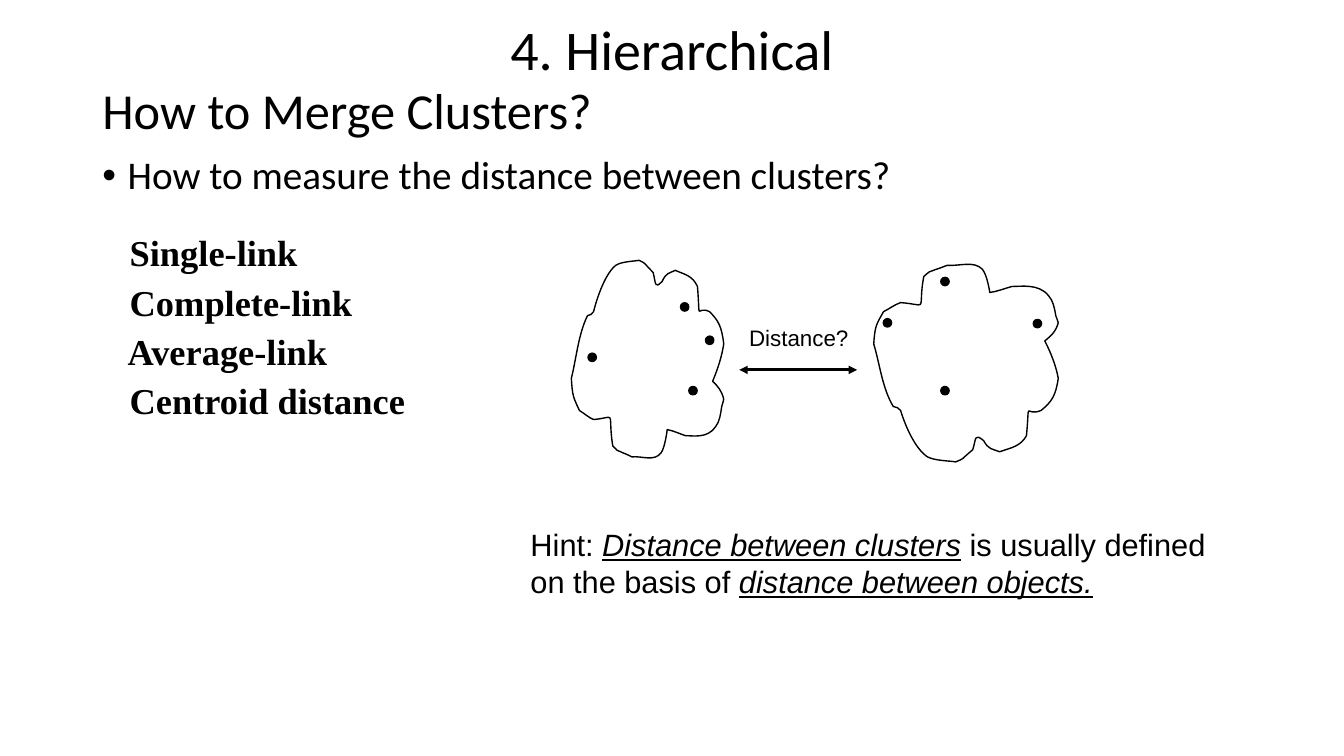
from lxml import etree
from pptx import Presentation
from pptx import util as u
from pptx.dml.color import RGBColor
from pptx.enum import shapes, text
from pptx.oxml.ns import qn

BLACK = "000000"

# Cluster outline on a 151 x 200 grid: a start point, then cubic curves
# given as two control points and an end point
GRID = (151, 200)
OUTLINE_START = (16, 55)
OUTLINE_CURVES = [
    (7, 73, 5, 97, 0, 117), (1, 135, 2, 136, 8, 149),
    (13, 152, 17, 156, 22, 158), (44, 156, 37, 149, 40, 177),
    (40, 179, 41, 182, 41, 184), (48, 191, 43, 187, 51, 191),
    (54, 192, 60, 195, 60, 195), (70, 194, 82, 200, 89, 191),
    (93, 185, 95, 168, 95, 168), (101, 169, 107, 172, 113, 174),
    (121, 174, 135, 177, 143, 165), (147, 160, 148, 152, 149, 145),
    (150, 142, 151, 138, 151, 138), (149, 129, 145, 125, 140, 120),
    (145, 108, 149, 96, 151, 83), (149, 66, 146, 60, 137, 51),
    (123, 44, 128, 65, 125, 26), (120, 15, 112, 14, 103, 10),
    (97, 13, 94, 12, 90, 21), (82, 29, 84, 23, 81, 12),
    (70, 1, 75, 4, 67, 0), (63, 1, 50, 1, 44, 5),
    (34, 13, 26, 35, 22, 51), (21, 54, 18, 54, 16, 55),
]


def color(hex_string):
    return RGBColor.from_string(hex_string)


def set_attributes(target, values):
    for name, value in values.items():
        setattr(target, name, value)


def add_text(slide, box, paragraphs, font, layout=None, anchor=text.MSO_ANCHOR.TOP, bullet=None):
    """Each paragraph is a list of (words, extra font values)."""
    frame = slide.shapes.add_textbox(*map(u.Cm, box)).text_frame
    set_attributes(frame, {"word_wrap": True, "vertical_anchor": anchor})
    for index, runs in enumerate(paragraphs):
        paragraph = frame.paragraphs[0] if index == 0 else frame.add_paragraph()
        set_attributes(paragraph, layout or {})
        if index == 0:
            paragraph.space_before = u.Pt(0)
        if bullet:
            add_bullet(paragraph, *bullet)
        for words, extra in runs:
            run = paragraph.add_run()
            run.text = words
            set_attributes(run.font, {**font, **extra})
            run.font.color.rgb = color(BLACK)


def add_bullet(paragraph, character, indent):
    properties = paragraph._p.get_or_add_pPr()
    properties.set("marL", str(u.Cm(indent)))
    properties.set("indent", str(-u.Cm(indent)))
    etree.SubElement(properties, qn("a:buFont")).set("typeface", "Arial")
    etree.SubElement(properties, qn("a:buChar")).set("char", character)


def curve_segments(shape):
    """Join every three straight segments into one cubic curve."""
    segments = list(shape._element.iter(qn("a:lnTo")))
    for start in range(0, len(segments), 3):
        curve = etree.Element(qn("a:cubicBezTo"))
        segments[start].addprevious(curve)
        for segment in segments[start:start + 3]:
            curve.append(segment[0])
            segment.getparent().remove(segment)


def add_cluster(slide, box, dots, mirrored=False):
    left, top, width, height = box

    # Outline
    points = [OUTLINE_START]
    for curve in OUTLINE_CURVES:
        points += [curve[0:2], curve[2:4], curve[4:6]]
    places = []
    for x, y in points:
        y = GRID[1] - y if mirrored else y
        places.append((u.Cm(left + width * x / GRID[0]), u.Cm(top + height * y / GRID[1])))
    builder = slide.shapes.build_freeform(*places[0])
    builder.add_line_segments(places[1:], close=True)
    outline = builder.convert_to_shape()
    curve_segments(outline)
    outline.fill.background()

    # Objects in the cluster
    objects = []
    for x, y in dots:
        dot = slide.shapes.add_shape(shapes.MSO_SHAPE.OVAL, u.Cm(left + x), u.Cm(top + y),
                                     u.Cm(0.21), u.Cm(0.21))
        dot.fill.solid()
        dot.fill.fore_color.rgb = color(BLACK)
        objects.append(dot)

    for shape in [outline, *objects]:
        shape.shadow.inherit = False
        shape.line.color.rgb = color(BLACK)
        shape.line.width = u.Pt(1)


def add_distance(slide, box):
    """Label with a double arrow under it."""
    left, top, width, height = box
    arrow = slide.shapes.add_connector(
        shapes.MSO_CONNECTOR.STRAIGHT,
        *map(u.Cm, (left, top + height, left + width, top + height)))
    arrow.line.color.rgb = color(BLACK)
    arrow.line.width = u.Pt(2)
    line = arrow.line._get_or_add_ln()
    for end in ("a:headEnd", "a:tailEnd"):
        etree.SubElement(line, qn(end)).set("type", "triangle")
    etree.SubElement(arrow._element.spPr, qn("a:effectLst"))
    add_text(slide, (left, top, width + 1.04, 0.94), [[("Distance?", {})]],
             {"name": "Arial", "size": u.Pt(16)})


def add_headings(slide, box):
    left, top, width = box
    tight = {"line_spacing": 0.9}
    middle = text.MSO_ANCHOR.MIDDLE
    add_text(slide, (left, top + 0.69, width, 3.68), [[("How to Merge Clusters?", {})]],
             {"name": "Calibri", "size": u.Pt(36)}, tight, middle)
    add_text(slide, (left, top + 3.47, width, 13.36),
             [[("How to measure the distance between clusters?", {})]],
             {"name": "Calibri", "size": u.Pt(28)}, tight, bullet=("•", 0.64))
    add_text(slide, (left, top, width, 1.98), [[("4. Hierarchical", {})]],
             {"name": "Calibri", "size": u.Pt(40)},
             {**tight, "alignment": text.PP_ALIGN.CENTER}, middle)


def add_link_types(slide, box):
    names = [" Single-link", " Complete-link", " Average-link", " Centroid distance"]
    add_text(slide, box, [[(name, {})] for name in names],
             {"name": "Times New Roman", "size": u.Pt(26), "bold": True},
             {"space_before": u.Pt(2), "space_after": u.Pt(2)})


def add_hint(slide, box):
    stressed = {"italic": True, "underline": True}
    add_text(slide, box, [[("Hint: ", {}), ("Distance between clusters", stressed),
                           (" is usually defined on the basis of ", {}),
                           ("distance between objects.", stressed)]],
             {"name": "Arial", "size": u.Pt(22)})


def main():
    presentation = Presentation()
    presentation.slide_width, presentation.slide_height = u.Cm(33.87), u.Cm(19.05)
    slide = presentation.slides.add_slide(presentation.slide_layouts[6])
    add_headings(slide, (2.33, 0.33, 29.21))
    add_link_types(slide, (2.79, 5.68, 9.5, 6.2))
    add_distance(slide, (18.63, 8.05, 2.97, 1.27))
    add_cluster(slide, (14.4, 6.56, 3.84, 5.08),
                [(2.96, 3.18), (2.75, 1.07), (0.42, 2.34), (3.38, 1.91)])
    add_cluster(slide, (22.02, 6.56, 4.65, 5.08),
                [(4.02, 1.49), (0.24, 1.47), (1.69, 3.18), (1.69, 0.43)], mirrored=True)
    add_hint(slide, (13.12, 13.13, 17.68, 2.13))
    presentation.save("out.pptx")


if __name__ == "__main__":
    main()
